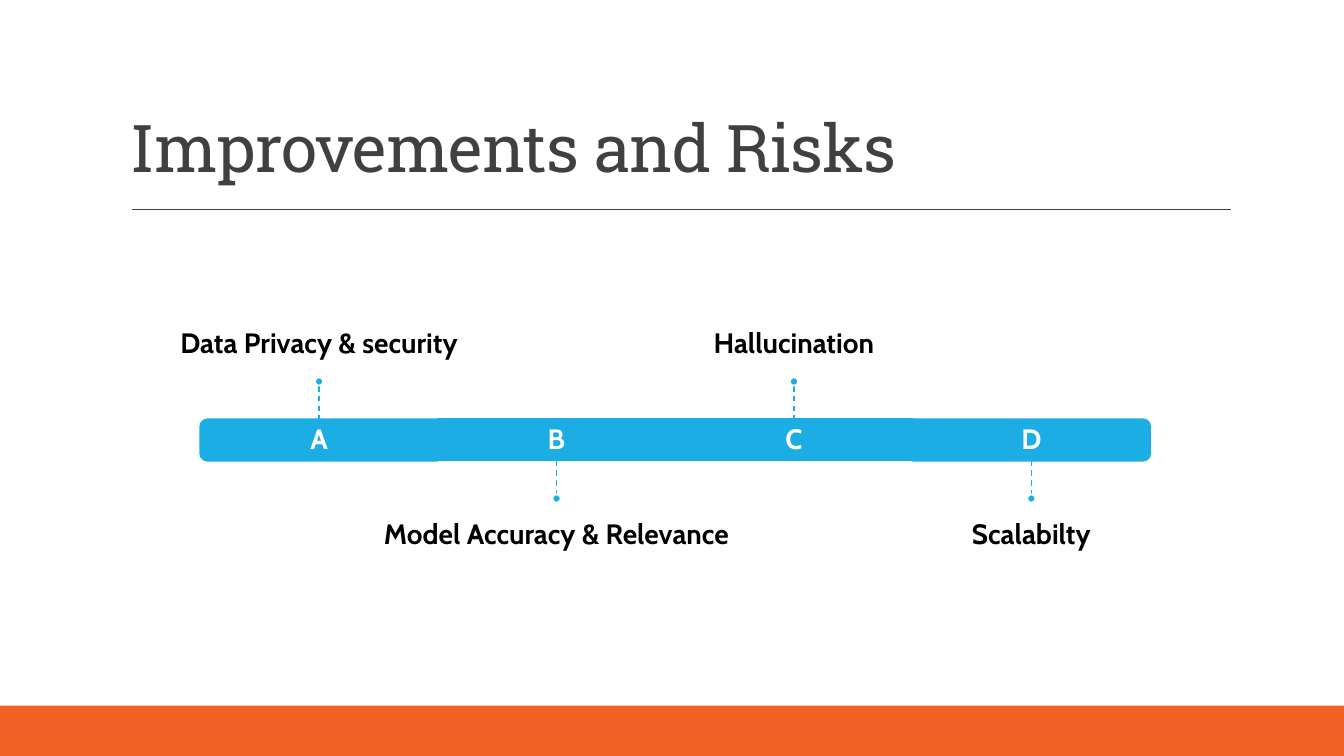
from dataclasses import dataclass

from lxml.etree import SubElement
from pptx import Presentation
from pptx.dml.color import RGBColor
from pptx.enum.dml import MSO_LINE
from pptx.enum.shapes import MSO_CONNECTOR, MSO_SHAPE as Preset
from pptx.enum.text import MSO_ANCHOR as Anchor, PP_ALIGN as Align
from pptx.oxml.ns import qn
from pptx.shapes.autoshape import Shape
from pptx.shapes.connector import Connector
from pptx.slide import Slide
from pptx.util import Pt

COLORS = {
    "white": "FFFFFF",
    "black": "000000",
    "gray": "404040",
    "orange": "F26124",
    "blue": "1CADE4",
}
FIRST_CENTER, STEP = 227.9, 169.6
BAR_MIDDLE, BAR_HEIGHT = 314.3, 29.5
LABEL_WIDTH, LABEL_HEIGHT, LABEL_GAP = 283, 104.4, 45
DOT_SIZE, DOT_OFFSET, STEM_END = 5.8, 41.8, 38.5
INSET = 12.2


@dataclass(frozen=True)
class Box:
    left: float
    top: float
    width: float
    height: float

    @classmethod
    def centered(cls, x: float, y: float, width: float, height: float) -> "Box":
        return cls(x - width / 2, y - height / 2, width, height)

    def lengths(self) -> tuple:
        return Pt(self.left), Pt(self.top), Pt(self.width), Pt(self.height)


@dataclass(frozen=True)
class TextStyle:
    font: str
    size: float
    color: str
    bold: bool
    align: Align
    anchor: Anchor
    insets: tuple[float, float, float, float]


@dataclass(frozen=True)
class Segment:
    letter: str
    label: str
    preset: Preset = Preset.RECTANGLE
    rotation: int = 0


TITLE = TextStyle("Roboto Slab", 47, "gray", False, Align.LEFT, Anchor.BOTTOM, (7.2, 3.6, 7.2, 3.6))
LETTER = TextStyle("Cabin", 20, "white", True, Align.CENTER, Anchor.MIDDLE, (INSET,) * 4)
LABEL_ABOVE = TextStyle("Cabin", 20, "black", True, Align.CENTER, Anchor.BOTTOM, (0, 0, 0, INSET))
LABEL_BELOW = TextStyle("Cabin", 20, "black", True, Align.CENTER, Anchor.TOP, (0, INSET, 0, 0))

SEGMENTS = [
    Segment("A", "Data Privacy & security", Preset.ROUND_2_SAME_RECTANGLE, 270),
    Segment("B", "Model Accuracy & Relevance"),
    Segment("C", "Hallucination"),
    Segment("D", "Scalabilty", Preset.ROUND_2_SAME_RECTANGLE, 90),
]


def rgb(name: str) -> RGBColor:
    return RGBColor.from_string(COLORS[name])


def apply_format(target: object, values: dict) -> None:
    for name, value in values.items():
        setattr(target, name, value)


def add_filled(slide: Slide, preset: Preset, box: Box, fill: str, outline: str = "") -> Shape:
    shape = slide.shapes.add_shape(preset, *box.lengths())
    shape.shadow.inherit = False
    shape.fill.solid()
    shape.fill.fore_color.rgb = rgb(fill)
    if outline:
        shape.line.color.rgb = rgb(outline)
        shape.line.width = Pt(1.25)
    else:
        shape.line.fill.background()
    return shape


def add_text(slide: Slide, box: Box, text: str, style: TextStyle, spacing: int = 0) -> None:
    frame = slide.shapes.add_textbox(*box.lengths()).text_frame
    left, top, right, bottom = map(Pt, style.insets)
    apply_format(frame, {
        "word_wrap": True,
        "vertical_anchor": style.anchor,
        "margin_left": left,
        "margin_top": top,
        "margin_right": right,
        "margin_bottom": bottom,
    })
    paragraph = frame.paragraphs[0]
    apply_format(paragraph, {"alignment": style.align, "line_spacing": 0.9})
    run = paragraph.add_run()
    run.text = text
    apply_format(run.font, {"name": style.font, "size": Pt(style.size), "bold": style.bold})
    run.font.color.rgb = rgb(style.color)
    if spacing:
        run._r.get_or_add_rPr().set("spc", str(spacing))


def add_line(slide: Slide, start: tuple[float, float], end: tuple[float, float], color: str) -> Connector:
    line = slide.shapes.add_connector(MSO_CONNECTOR.STRAIGHT, *map(Pt, start + end))
    line.line.color.rgb = rgb(color)
    line.line.width = Pt(1)
    SubElement(line._element.spPr, qn("a:effectLst"))
    return line


def add_segment(slide: Slide, segment: Segment, center: float, side: int) -> None:
    bar = Box.centered(center, BAR_MIDDLE, STEP, BAR_HEIGHT)
    upright = Box.centered(center, BAR_MIDDLE, BAR_HEIGHT, STEP)
    shape = add_filled(slide, segment.preset, upright if segment.rotation else bar, "blue", "blue")
    shape.rotation = segment.rotation
    add_text(slide, bar, segment.letter, LETTER)

    label_middle = BAR_MIDDLE + side * (LABEL_GAP + LABEL_HEIGHT / 2)
    label_box = Box.centered(center, label_middle, LABEL_WIDTH, LABEL_HEIGHT)
    add_text(slide, label_box, segment.label, LABEL_BELOW if side > 0 else LABEL_ABOVE)

    near, far = sorted(BAR_MIDDLE + side * offset for offset in (BAR_HEIGHT / 2, STEM_END))
    stem = add_line(slide, (center, near), (center, far), "blue")
    stem.line.dash_style = MSO_LINE.DASH
    dot = Box.centered(center, BAR_MIDDLE + side * DOT_OFFSET, DOT_SIZE, DOT_SIZE)
    add_filled(slide, Preset.OVAL, dot, "blue", "white")


def main() -> None:
    presentation = Presentation()
    apply_format(presentation, {"slide_width": Pt(960), "slide_height": Pt(540)})
    slide = presentation.slides.add_slide(presentation.slide_layouts[6])
    add_filled(slide, Preset.RECTANGLE, Box(0, 504, 960, 36), "orange")
    add_line(slide, (94.3, 149.5), (879, 149.5), "gray")
    add_text(slide, Box(86.4, 22.3, 792, 114.5), "Improvements and Risks", TITLE, spacing=-50)
    for index, segment in enumerate(SEGMENTS):
        add_segment(slide, segment, FIRST_CENTER + index * STEP, 1 if index % 2 else -1)
    presentation.save("out.pptx")


if __name__ == "__main__":
    main()
